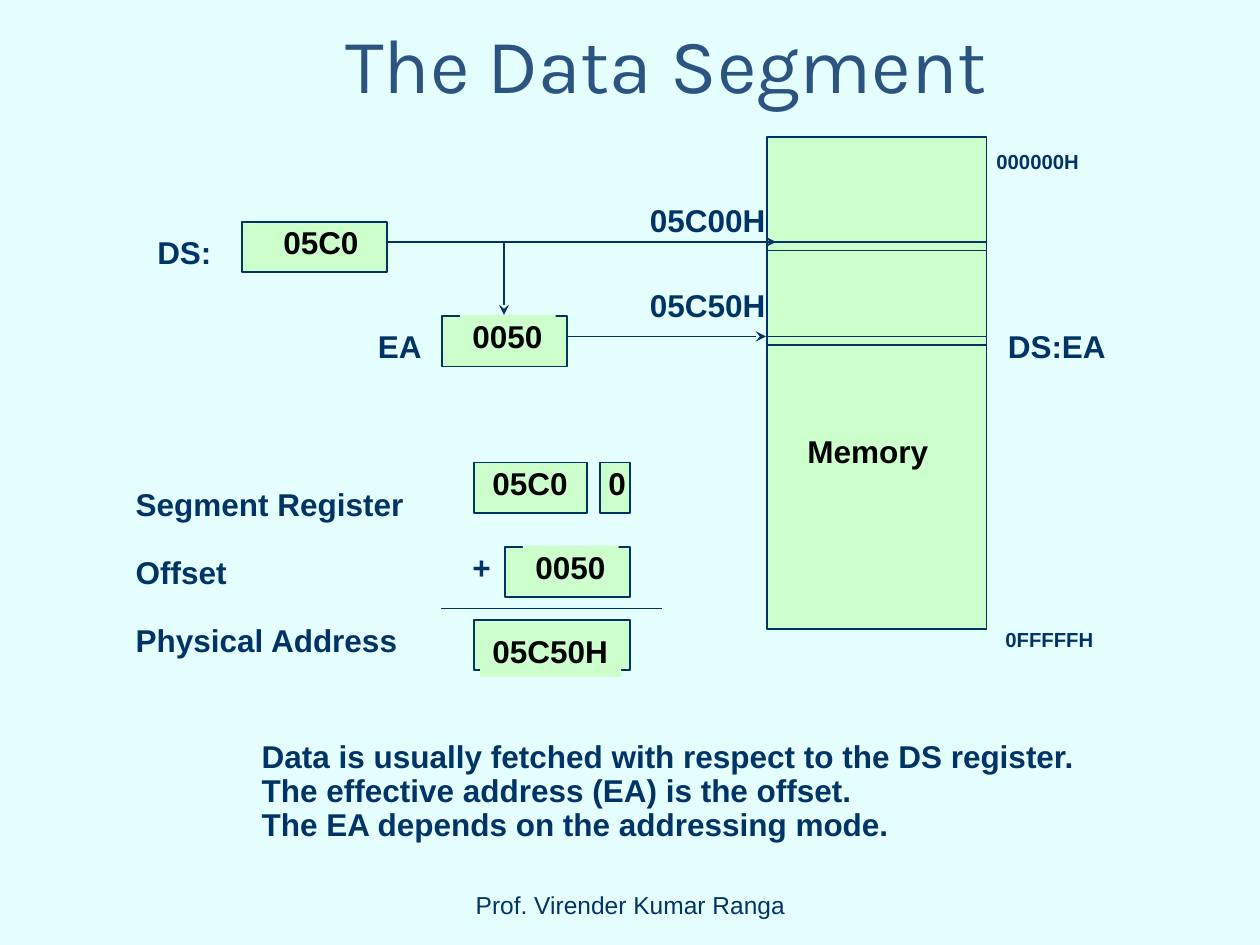
from lxml import etree
from pptx import Presentation
from pptx.dml.color import RGBColor
from pptx.enum.shapes import MSO_CONNECTOR, MSO_SHAPE
from pptx.enum.text import MSO_ANCHOR, MSO_AUTO_SIZE, PP_ALIGN
from pptx.oxml.ns import qn
from pptx.util import Pt

RECT, LINE = MSO_SHAPE.RECTANGLE, MSO_CONNECTOR.STRAIGHT
CENTER, LEFT = PP_ALIGN.CENTER, PP_ALIGN.LEFT
MIDDLE, BOTTOM, TOP = MSO_ANCHOR.MIDDLE, MSO_ANCHOR.BOTTOM, MSO_ANCHOR.TOP
GROW = MSO_AUTO_SIZE.SHAPE_TO_FIT_TEXT

COLORS = {"back": "E5FFFF", "title": "2B5481", "navy": "003366",
          "green": "CCFFCC", "black": "000000"}

TITLE = "The Data Segment"
FOOTER = "Prof. Virender Kumar Ranga"
NOTES = ["Data is usually fetched with respect to the DS register.",
         "The effective address (EA) is the offset.",
         "The EA depends on the addressing mode."]
TERMS = ["Segment Register", "Offset", "Physical Address"]

MEM_X, MEM_W, BOX_H, TEXT_H = 438.5, 125.3, 28.8, 26.64
DS_Y, EA_Y = 138.25, 192.25
BOXES = [
    (MEM_X, 78.5, MEM_W, 280.8),
    (MEM_X, DS_Y, MEM_W, 5),
    (MEM_X, EA_Y, MEM_W, 5),
    (138.25, 126.7, 82.8, BOX_H),
    (252.7, 180.7, 71.3, BOX_H),
    (270.7, 264.25, 64.8, BOX_H),
    (342.7, 264.25, 17.3, BOX_H),
    (288.7, 312.5, 71.3, BOX_H),
    (270.7, 354.25, 89.3, BOX_H),
]
LINES = [
    (221.75, DS_Y, 228.25, DS_Y, False),
    (228.25, DS_Y, 443.5, DS_Y, True),
    (288, DS_Y, 288, 180, True),
    (324, EA_Y, 437.75, EA_Y, True),
    (252, 347.75, 378, 347.75, False),
]
LABELS = [
    ("DS:", 82.8, 131.75, 45.4),
    ("EA", 208.8, 185.75, 39.6),
    ("+", 262.8, 311.75, 25.2),
    ("05C00H", 364.3, 113.75, 80.6),
    ("05C50H", 364.3, 162, 80.6),
    ("DS:EA", 568.8, 185.75, 70.6),
]
VALUES = [
    ("Memory", 454.3, 245.5, 83.5, None),
    ("05C0", 154.8, 126, 57.6, None),
    ("0050", 262.8, 180, 54.7, "green"),
    ("05C0", 274.3, 263.5, 57.6, None),
    ("0", 340.6, 263.5, 24.5, None),
    ("0050", 298.8, 311.75, 54.7, "green"),
    ("05C50H", 274.3, 360, 80.6, "green"),
]
BOUNDS = [("000000H", 562.3, 74.2, 67.7, True),
          ("0FFFFFH", 567.4, 347, 64.8, False)]

deck = Presentation()
deck.slide_width, deck.slide_height = Pt(720), Pt(540)
slide = deck.slides.add_slide(deck.slide_layouts[5])
shapes = slide.shapes


def rgb(name):
    return RGBColor.from_string(COLORS[name])


def write(frame, rows, size, color, font="Arial", bold=True, low=False,
          align=LEFT, pitch=None, gap=0):
    for i, row in enumerate(rows):
        para = frame.paragraphs[0] if i == 0 else frame.add_paragraph()
        para.alignment = align
        if pitch:
            para.line_spacing = Pt(pitch)
        para.space_before = Pt(gap if i else 0)
        run = para.add_run()
        run.text = row
        run.font.name, run.font.size = font, Pt(size)
        run.font.bold = bold
        run.font.color.rgb = rgb(color)
        if low:
            run.font._element.set("baseline", "-25000")


def label(rows, x, y, w, h=TEXT_H, size=18, color="navy", fill=None,
          wrap=False, low=False, gap=0):
    box = shapes.add_textbox(Pt(x), Pt(y), Pt(w), Pt(h))
    if fill:
        box.fill.solid()
        box.fill.fore_color.rgb = rgb(fill)
    frame = box.text_frame
    frame.word_wrap, frame.auto_size = wrap, GROW
    frame.vertical_anchor = TOP
    write(frame, rows, size, color, low=low, pitch=size * 1.08, gap=gap)


def block(x, y, w, h):
    box = shapes.add_shape(RECT, Pt(x), Pt(y), Pt(w), Pt(h))
    box.shadow.inherit = False
    box.fill.solid()
    box.fill.fore_color.rgb = rgb("green")
    box.line.color.rgb = rgb("navy")
    box.line.width = Pt(1)


def link(x1, y1, x2, y2, arrow):
    line = shapes.add_connector(LINE, Pt(x1), Pt(y1), Pt(x2), Pt(y2))
    line.line.color.rgb = rgb("navy")
    line.line.width = Pt(1)
    props = line._element.spPr
    if arrow:
        etree.SubElement(props.find(qn("a:ln")), qn("a:tailEnd"), type="stealth")
    etree.SubElement(props, qn("a:effectLst"))


slide.background.fill.solid()
slide.background.fill.fore_color.rgb = rgb("back")

title = shapes.title
title.left, title.top, title.width, title.height = Pt(95.8), Pt(0), Pt(570.2), Pt(72)
title.text_frame.vertical_anchor = MIDDLE
write(title.text_frame, [TITLE], 44, "title", "Karla", False, align=CENTER)

for box in BOXES:
    block(*box)
for line in LINES:
    link(*line)

label(NOTES, 142.5, 419.75, 479.5, 65.5)
label(TERMS, 70.5, 275.75, 167.8, 104.4, gap=19.44)
for text, x, y, w in LABELS:
    label([text], x, y, w)
for text, x, y, w, fill in VALUES:
    label([text], x, y, w, color="black", fill=fill)
for text, x, y, w, wrap in BOUNDS:
    label([text], x, y, w, 31.7, 20, wrap=wrap, low=True)

foot = shapes.add_textbox(Pt(246.2), Pt(491.8), Pt(228.2), Pt(37.4))
foot.text_frame.word_wrap = True
foot.text_frame.vertical_anchor = BOTTOM
write(foot.text_frame, [FOOTER], 14, "navy", bold=False, align=CENTER)

deck.save("out.pptx")
